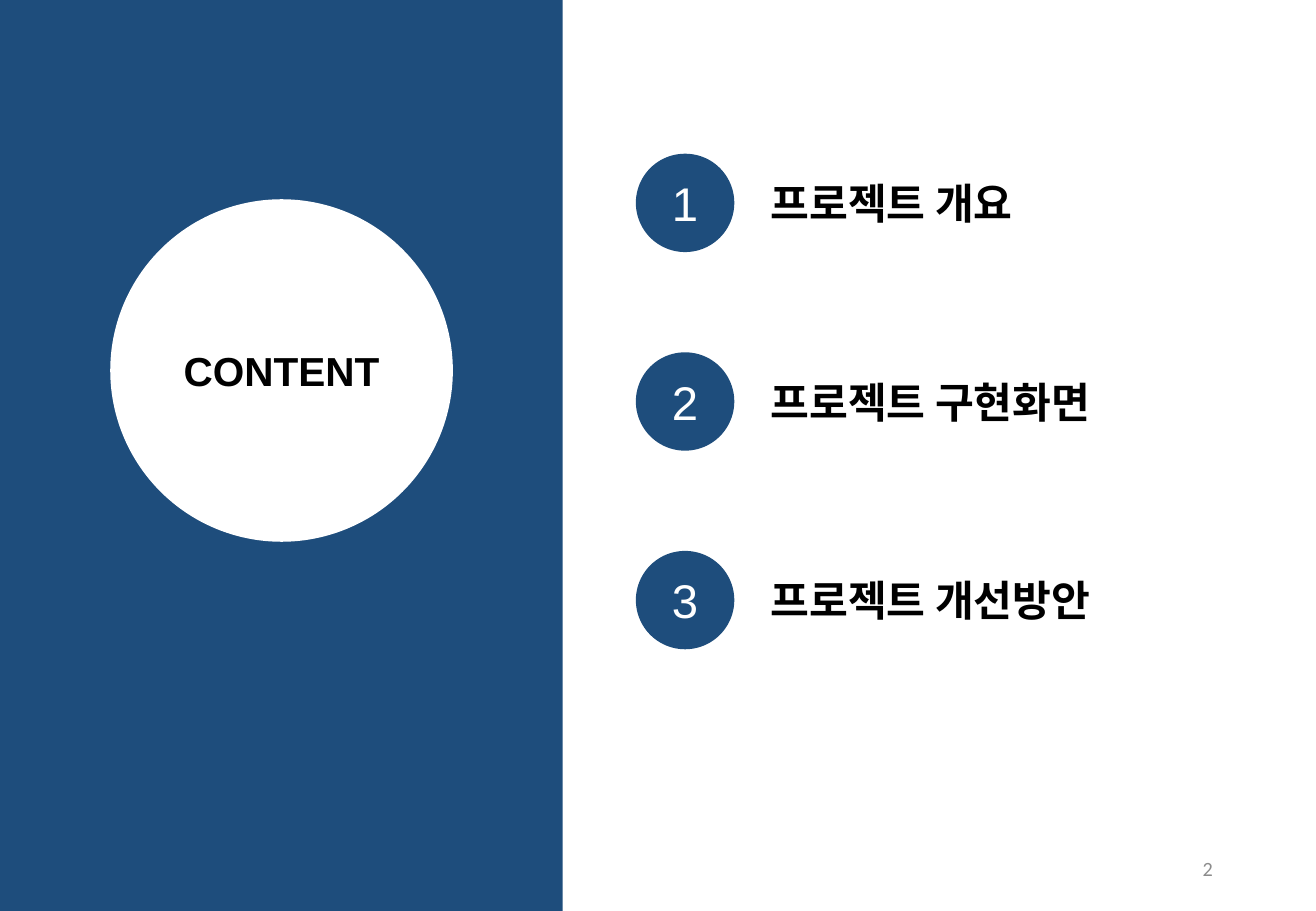
import dataclasses

import pptx
import pptx.dml.color
import pptx.enum.shapes
import pptx.enum.text
import pptx.util

ALIGN = pptx.enum.text.PP_ALIGN
ANCHOR = pptx.enum.text.MSO_ANCHOR
SHAPE = pptx.enum.shapes.MSO_SHAPE


@dataclasses.dataclass(frozen=True)
class Theme:
    navy: str = "1E4D7C"
    white: str = "FFFFFF"
    black: str = "000000"
    gray: str = "8C8C8C"
    font: str = "Arial"
    small: str = "Calibri"
    badge: int = 28
    label: int = 25
    title: int = 24
    page: int = 12


THEME = Theme()
TOPICS = ["프로젝트 개요", "프로젝트 구현화면", "프로젝트 개선방안"]


@dataclasses.dataclass(frozen=True)
class Box:
    left: float
    top: float
    width: float
    height: float

    def inner(self, left, top, width, height):
        """Return an inner box, given in percent of this one."""
        return Box(self.left + self.width * left / 100,
                   self.top + self.height * top / 100,
                   self.width * width / 100,
                   self.height * height / 100)

    def rows(self, count):
        step = self.height / count
        return [Box(self.left, self.top + step * row, self.width, step)
                for row in range(count)]

    def place(self):
        return [pptx.util.Inches(size) for size in dataclasses.astuple(self)]


def apply(item, values):
    for name, value in values.items():
        setattr(item, name, value)


def write(shape, text, size, color, font=THEME.font, bold=False,
          align=ALIGN.CENTER, anchor=ANCHOR.MIDDLE):
    frame = shape.text_frame
    apply(frame, {"word_wrap": True, "vertical_anchor": anchor,
                  "auto_size": pptx.enum.text.MSO_AUTO_SIZE.NONE})
    line = frame.paragraphs[0]
    line.alignment = align
    run = line.add_run()
    run.text = text
    apply(run.font, {"name": font, "size": pptx.util.Pt(size), "bold": bold})
    run.font.color.rgb = pptx.dml.color.RGBColor.from_string(color)


def draw(slide, kind, box, color):
    shape = slide.shapes.add_shape(kind, *box.place())
    shape.shadow.inherit = False
    shape.fill.solid()
    shape.fill.fore_color.rgb = pptx.dml.color.RGBColor.from_string(color)
    shape.line.fill.background()
    return shape


def add_panel(slide, box):
    draw(slide, SHAPE.RECTANGLE, box, THEME.navy)
    disc = box.inner(19.6, 21.87, 60.9, 37.6)
    draw(slide, SHAPE.OVAL, disc, THEME.white)
    title = slide.shapes.title
    names = ("left", "top", "width", "height")
    apply(title, dict(zip(names, disc.place())))
    write(title, "CONTENT", THEME.title, THEME.black, bold=True)
    # The title must lie in front of the disc.
    title.element.getparent().append(title.element)


def add_topic(slide, box, number, text):
    badge = draw(slide, SHAPE.OVAL, box.inner(0, 0, 19.57, 49.54), THEME.navy)
    write(badge, str(number), THEME.badge, THEME.white)
    label = slide.shapes.add_textbox(*box.inner(24.4, 9, 75.6, 31.8).place())
    write(label, text, THEME.label, THEME.black, bold=True,
          align=ALIGN.LEFT, anchor=ANCHOR.TOP)


def add_list(slide, box):
    rows = box.rows(len(TOPICS))
    for number, (row, text) in enumerate(zip(rows, TOPICS), 1):
        add_topic(slide, row, number, text)


def add_page(slide, box):
    page = slide.shapes.add_textbox(*box.place())
    write(page, "2", THEME.page, THEME.gray, font=THEME.small,
          align=ALIGN.RIGHT)


def main():
    deck = pptx.Presentation()
    full = Box(0, 0, 10.83, 7.5)
    width, height = full.place()[2:]
    apply(deck, {"slide_width": width, "slide_height": height})
    slide = deck.slides.add_slide(deck.slide_layouts.get_by_name("Title Only"))
    add_panel(slide, full.inner(0, 0, 42.75, 100))
    add_list(slide, full.inner(48.32, 16.87, 38.23, 65.4))
    add_page(slide, full.inner(76.18, 92.67, 16.9, 5.33))
    deck.save("out.pptx")


if __name__ == "__main__":
    main()
